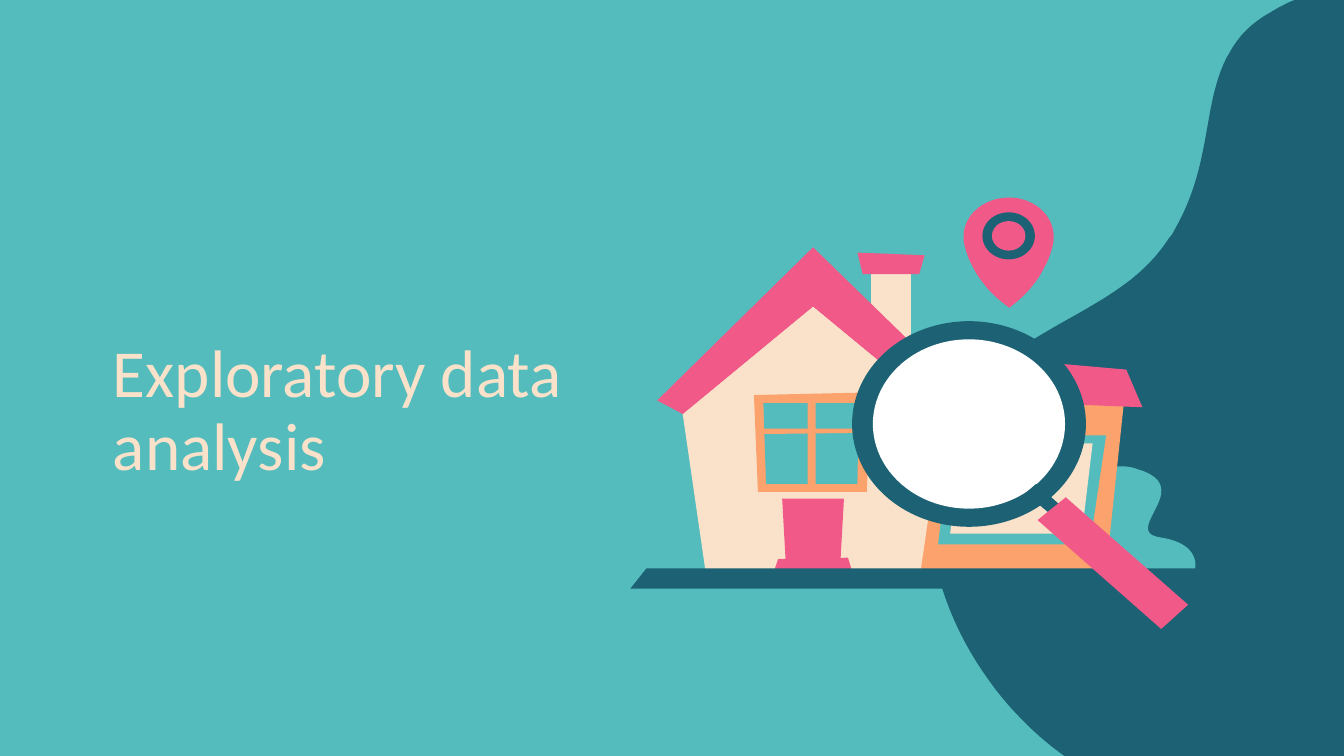
"""Build the "Exploratory data analysis" section slide with its house illustration."""
from pptx import Presentation
from pptx.dml.color import RGBColor
from pptx.enum.shapes import MSO_SHAPE as SHAPE
from pptx.enum.text import MSO_ANCHOR as ANCHOR, MSO_AUTO_SIZE as AUTO, PP_ALIGN as ALIGN
from pptx.util import Inches, Pt

W = Inches(10)
H = W * 9 // 16
UNITS = 1000
STEPS = 24
TURQUOISE = RGBColor(0x55, 0xBC, 0xBD)
TEAL = RGBColor(0x1C, 0x62, 0x74)
CREAM = RGBColor(0xFA, 0xE2, 0xCA)
PINK = RGBColor(0xF0, 0x59, 0x88)
ORANGE = RGBColor(0xFB, 0xA2, 0x6D)
WHITE = RGBColor(0xFF, 0xFF, 0xFF)

WAVE = [
    (11.64, 4.78),
    [(12.12, 3.95), (11.71, 3.12), (11.77, 2.3)],
    [(11.83, 1.47), (11.81, 0.87), (11.23, 0.43)],
    [(10.66, -0.01), (10.04, -0.28), (9.44, 0.1)],
    [(9.3, 0.18), (9.21, 0.28), (9.15, 0.39)],
    [(8.94, 0.74), (9.03, 1.21), (8.74, 1.71)],
    [(8.73, 1.73), (8.72, 1.75), (8.7, 1.77)],
    [(8.33, 2.36), (7.5, 2.41), (7.11, 3.08)],
    [(7.05, 3.18), (7.01, 3.3), (6.97, 3.43)],
    [(6.79, 4.1), (7.12, 4.85), (7.58, 5.33)],
    [(8.2, 5.99), (9.12, 6.18), (9.96, 5.98)],
    [(10.63, 5.83), (11.24, 5.43), (11.61, 4.83)],
]
BUSH = [
    (8.32, 3.47),
    [(8.04, 3.47), (8.08, 3.81), (8.08, 3.81)],
    (7.57, 4.25), (8.89, 4.24),
    [(8.89, 4.24), (8.95, 4.05), (8.64, 4)],
    [(8.32, 3.96), (8.92, 3.62), (8.46, 3.49)],
    [(8.41, 3.47), (8.36, 3.47), (8.32, 3.47)],
]
PIN = [
    (7.51, 1.47),
    [(7.32, 1.47), (7.17, 1.6), (7.17, 1.76)],
    (7.17, 1.79),
    [(7.17, 1.79), (7.2, 2.07), (7.51, 2.29)],
    [(7.81, 2.07), (7.84, 1.79), (7.84, 1.79)],
    (7.84, 1.76),
    [(7.84, 1.6), (7.69, 1.47), (7.51, 1.47)],
]
ANNEX = [
    (CREAM, [(6.48, 2.01), (6.48, 2.56), (6.78, 2.56), (6.78, 2.01)]),
    (PINK, [(6.38, 1.88), (6.42, 2.04), (6.84, 2.04), (6.88, 1.9)]),
    (ORANGE, [(6.28, 2.95), (6.31, 4.25), (8.23, 4.25), (8.36, 3.02)]),
    (PINK, [(5.99, 2.54), (5.99, 2.93), (8.5, 3.03), (8.38, 2.75)]),
]
HOUSE = [
    (PINK, [(6.05, 1.84), (4.89, 2.98), (5.08, 3.08), (7.02, 3.08), (7.22, 2.98)]),
    (CREAM, [(6.05, 2.28), (5.08, 3.08), (6.05, 3.87), (7.02, 3.08)]),
    (CREAM, [(5.08, 3.08), (5.25, 4.25), (6.85, 4.25), (7.02, 3.08)]),
    (TURQUOISE, [(8.23, 3.24), (7.08, 3.24), (6.98, 4.05), (8.11, 4.05)]),
    (CREAM, [(7.16, 3.3), (7.07, 3.97), (8.05, 3.97), (8.13, 3.3)]),
    (PINK, [(5.82, 3.71), (5.85, 4.25), (6.25, 4.25), (6.28, 3.71)]),
    (ORANGE, [(6.48, 2.92), (5.61, 2.94), (5.64, 3.66), (6.45, 3.66)]),
    (TURQUOISE, [(5.68, 3), (5.7, 3.6), (6.38, 3.6), (6.39, 3)]),
    (PINK, [(6.31, 4.15), (5.79, 4.16), (5.76, 4.25), (6.34, 4.25)]),
    (ORANGE, [(6.07, 2.95), (6.01, 2.96), (6.01, 3.65), (6.07, 3.65)]),
    (ORANGE, [(6.48, 3.19), (5.64, 3.19), (5.64, 3.23), (6.49, 3.22)]),
    (PINK, [(6.06, 2.19), (5.03, 3.05), (5.08, 3.08), (6.05, 2.28), (7.02, 3.08), (7.08, 3.04)]),
    (TEAL, [(4.81, 4.23), (4.69, 4.38), (8.99, 4.38), (8.89, 4.23)]),
]
HANDLE = [
    (TEAL, [(7.71, 3.6), (7.63, 3.67), (7.81, 3.82), (7.89, 3.76)]),
    (PINK, [(7.93, 3.7), (7.72, 3.87), (8.64, 4.68), (8.84, 4.5)]),
]


def paint(sp, color):
    sp.shadow.inherit = False
    sp.fill.solid()
    sp.fill.fore_color.rgb = color
    sp.line.fill.background()


def bezier(p0, p1, p2, p3):
    for i in range(1, STEPS + 1):
        t = i / STEPS
        u = 1 - t
        yield tuple(u**3 * a + 3 * u * u * t * b + 3 * u * t * t * c + t**3 * d
                    for a, b, c, d in zip(p0, p1, p2, p3))


def add_outline(shapes, color, path):
    points = []
    for part in path:
        points += bezier(points[-1], *part) if isinstance(part, list) else [part]
    scaled = [(round(x * UNITS), round(y * UNITS)) for x, y in points]
    builder = shapes.build_freeform(*scaled[0], scale=Inches(1) / UNITS)
    builder.add_line_segments(scaled[1:], close=True)
    paint(builder.convert_to_shape(), color)


def add_outlines(shapes, parts):
    for color, path in parts:
        add_outline(shapes, color, path)


def add_oval(shapes, color, cx, cy, w, h):
    box = map(Inches, (cx - w / 2, cy - h / 2, w, h))
    paint(shapes.add_shape(SHAPE.OVAL, *box), color)


def add_title(s, text):
    sp = s.shapes.title
    sp.left, sp.top = Inches(0.74), int(H * 0.43)
    sp.width, sp.height = Inches(3.72), Inches(1.3)
    tf = sp.text_frame
    tf.text = text
    tf.word_wrap, tf.auto_size = True, AUTO.NONE
    tf.vertical_anchor = ANCHOR.MIDDLE
    tf.margin_left = tf.margin_right = tf.margin_top = tf.margin_bottom = Inches(0.1)
    p = tf.paragraphs[0]
    p.alignment, p.line_spacing = ALIGN.LEFT, 0.9
    p.font.name, p.font.size = "Calibri", Pt(36)
    p.font.color.rgb = CREAM


def add_pin(shapes):
    add_outline(shapes, PINK, PIN)
    add_oval(shapes, TEAL, 7.505, 1.755, 0.39, 0.35)
    add_oval(shapes, PINK, 7.505, 1.755, 0.25, 0.22)


def add_magnifier(shapes):
    add_oval(shapes, TEAL, 7.21, 3.155, 1.74, 1.53)
    add_oval(shapes, WHITE, 7.21, 3.155, 1.43, 1.26)
    add_outlines(shapes, HANDLE)


def main():
    prs = Presentation()
    prs.slide_width, prs.slide_height = W, H
    s = prs.slides.add_slide(prs.slide_layouts[5])
    s.background.fill.solid()
    s.background.fill.fore_color.rgb = TURQUOISE
    add_outline(s.shapes, TEAL, WAVE)
    add_title(s, "Exploratory data analysis")
    shapes = s.shapes.add_group_shape().shapes
    add_outline(shapes, TURQUOISE, BUSH)
    add_pin(shapes)
    add_outlines(shapes, ANNEX + HOUSE)
    add_magnifier(shapes)
    prs.save("out.pptx")


if __name__ == "__main__":
    main()
